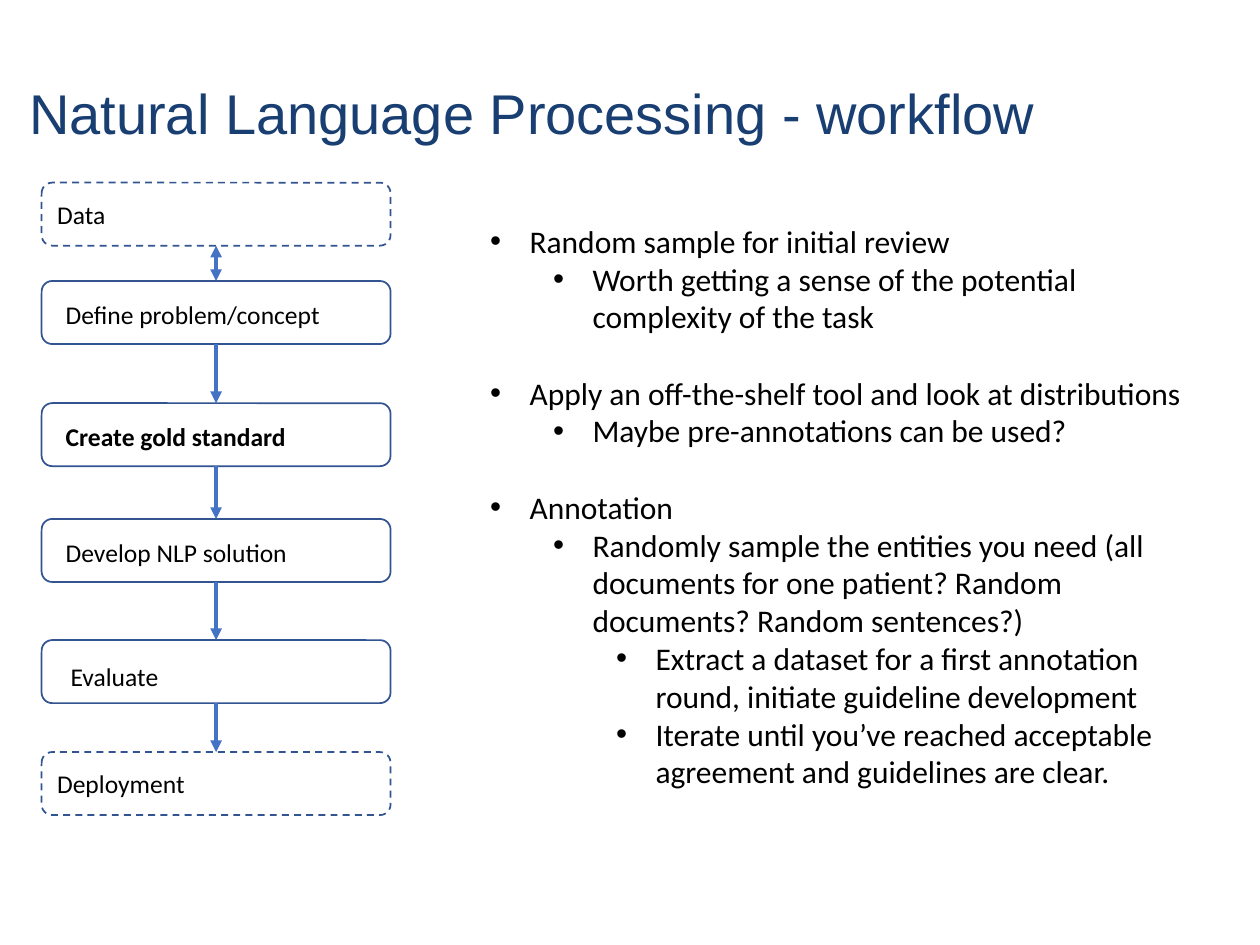
from dataclasses import dataclass
from itertools import pairwise

from lxml.etree import SubElement
from pptx import Presentation
from pptx.dml.color import RGBColor
from pptx.enum.dml import MSO_LINE
from pptx.enum.shapes import MSO_CONNECTOR, MSO_SHAPE
from pptx.enum.text import MSO_ANCHOR, MSO_AUTO_SIZE, PP_ALIGN
from pptx.oxml.ns import qn
from pptx.util import Pt


@dataclass(frozen=True)
class Theme:
    """Colours, fonts and type sizes of the slide."""

    title: str = "193E72"
    ink: str = "000000"
    edge: str = "325491"
    arrow: str = "4472C4"
    head_font: str = "Arial"
    font: str = "Calibri"
    head_size: float = 32
    list_size: float = 18
    step_size: float = 14.6


THEME = Theme()
LEFT, WIDE, HIGH = 23.8, 199.4, 36

# label, top, left inset, text drop, bold, dashed
STEPS = [
    ("Data", 104.4, 7.2, 0, False, True),
    ("Define problem/concept", 160.6, 12, 1, False, False),
    ("Create gold standard", 230.4, 12, 1, True, False),
    ("Develop NLP solution", 296.6, 12, 1, False, False),
    ("Evaluate", 365.8, 14.8, 2.5, False, False),
    ("Deployment", 429.8, 7.2, 0, False, True),
]

POINTS = [
    (0, "Random sample for initial review"),
    (1, "Worth getting a sense of the potential complexity of the task"),
    (0, "Apply an off-the-shelf tool and look at distributions"),
    (1, "Maybe pre-annotations can be used?"),
    (0, "Annotation"),
    (1, "Randomly sample the entities you need (all documents for one patient? "
        "Random documents? Random sentences?)"),
    (2, "Extract a dataset for a first annotation round, initiate guideline development"),
    (2, "Iterate until you’ve reached acceptable agreement and guidelines are clear."),
]


def write(para, text, size, font=THEME.font, color=THEME.ink, bold=False,
          before=0, lines=1.0):
    """Put left-aligned text with its format into a paragraph."""
    para.text = text
    para.alignment = PP_ALIGN.LEFT
    para.space_before = Pt(before)
    para.line_spacing = lines
    para.font.size = Pt(size)
    para.font.name = font
    para.font.bold = bold
    para.font.color.rgb = RGBColor.from_string(color)


def place(shape, left, top, wide, high):
    """Move and size a shape, in points."""
    shape.left, shape.top = Pt(left), Pt(top)
    shape.width, shape.height = Pt(wide), Pt(high)


def add_title(slide, text):
    """Fill the title placeholder."""
    title = slide.shapes.title
    place(title, 9.4, 21.6, 702, 90)
    frame = title.text_frame
    frame.vertical_anchor = MSO_ANCHOR.MIDDLE
    frame.auto_size = MSO_AUTO_SIZE.NONE
    write(frame.paragraphs[0], text, THEME.head_size, font=THEME.head_font,
          color=THEME.title, lines=0.9)


def add_bullet(para, level):
    """Give a paragraph its level, hanging indent and bullet."""
    para.level = level
    props = para._p.get_or_add_pPr()
    props.set("marL", str(Pt(22.5 + 36 * level)))
    props.set("indent", str(Pt(-22.5)))
    SubElement(props, qn("a:buFont"), typeface="Arial")
    SubElement(props, qn("a:buChar"), char="•")


def add_list(slide, points):
    """Fill the body placeholder, with a gap above each later main point."""
    body = slide.placeholders[1]
    place(body, 272.9, 123.1, 423.4, 356.4)
    frame = body.text_frame
    frame.word_wrap = True
    frame.auto_size = MSO_AUTO_SIZE.NONE
    for spot, (level, text) in enumerate(points):
        para = frame.add_paragraph() if spot else frame.paragraphs[0]
        add_bullet(para, level)
        write(para, text, THEME.list_size,
              before=22 if spot and level == 0 else 0)


def add_step(slide, label, top, inset, drop, bold, dashed):
    """Draw one box of the workflow and return it."""
    box = slide.shapes.add_shape(MSO_SHAPE.ROUNDED_RECTANGLE,
                                 Pt(LEFT), Pt(top), Pt(WIDE), Pt(HIGH))
    box.shadow.inherit = False
    box.fill.background()
    box.line.color.rgb = RGBColor.from_string(THEME.edge)
    box.line.width = Pt(1)
    if dashed:
        box.line.dash_style = MSO_LINE.DASH
    frame = box.text_frame
    frame.word_wrap = True
    frame.vertical_anchor = MSO_ANCHOR.MIDDLE
    frame.margin_left = Pt(inset)
    frame.margin_top = Pt(3.6 + 2 * drop)
    write(frame.paragraphs[0], label, THEME.step_size, bold=bold)
    return box


def add_arrow(slide, start, end, both=False):
    """Join two boxes, bottom to top, with an arrow."""
    line = slide.shapes.add_connector(MSO_CONNECTOR.STRAIGHT, 0, 0, 0, 0)
    line.begin_connect(start, 2)
    line.end_connect(end, 0)
    line.line.color.rgb = RGBColor.from_string(THEME.arrow)
    line.line.width = Pt(2.25)
    props = line._element.spPr
    stroke = props.find(qn("a:ln"))
    if both:
        SubElement(stroke, qn("a:headEnd"), type="triangle")
    SubElement(stroke, qn("a:tailEnd"), type="triangle")
    SubElement(props, qn("a:effectLst"))


def main():
    """Build and save the slide."""
    deck = Presentation()
    deck.slide_width, deck.slide_height = Pt(720), Pt(540)
    slide = deck.slides.add_slide(deck.slide_layouts[1])
    add_title(slide, "Natural Language Processing - workflow")
    add_list(slide, POINTS)
    boxes = [add_step(slide, *step) for step in STEPS]
    for spot, (start, end) in enumerate(pairwise(boxes)):
        add_arrow(slide, start, end, both=spot == 0)
    deck.save("out.pptx")


if __name__ == "__main__":
    main()
